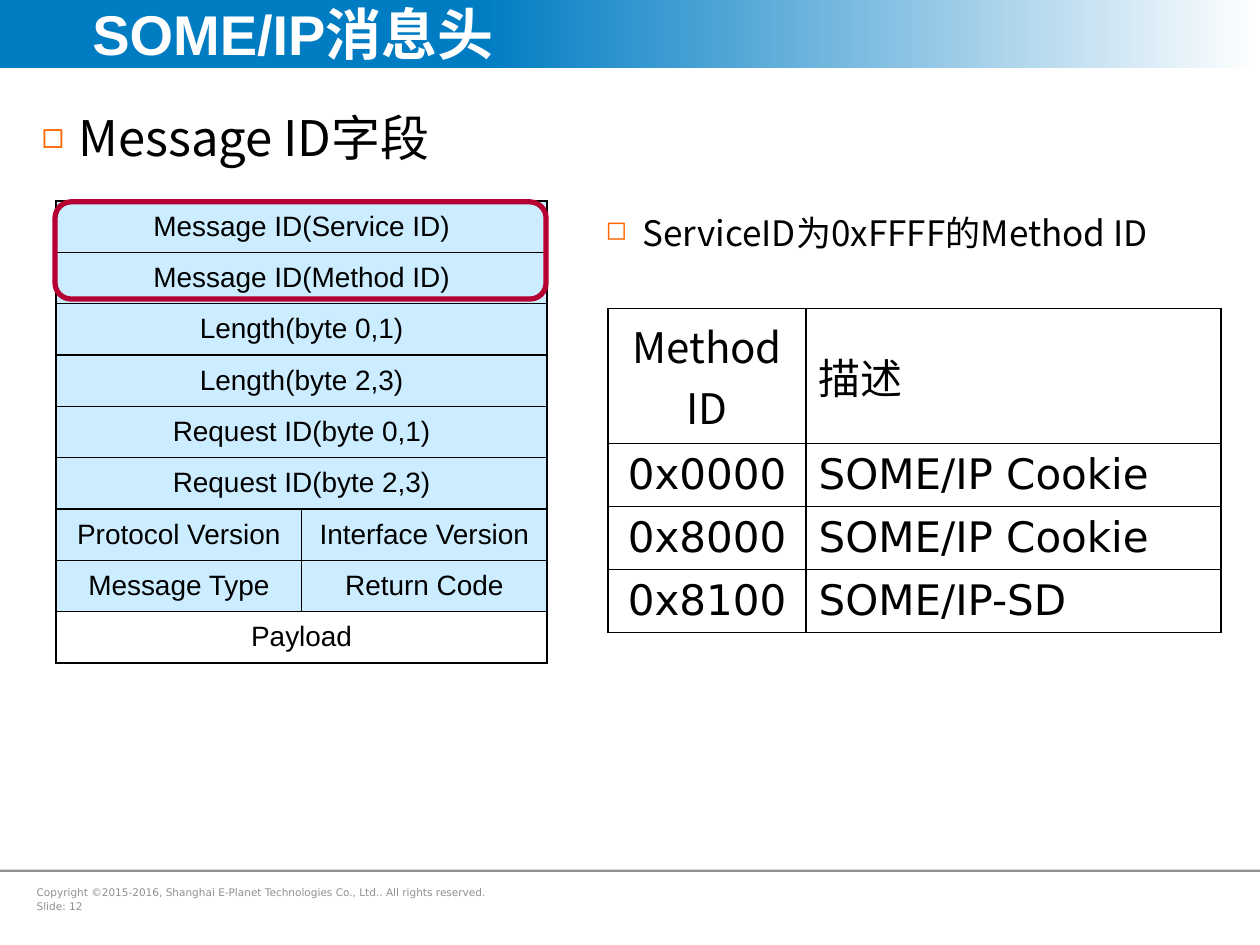
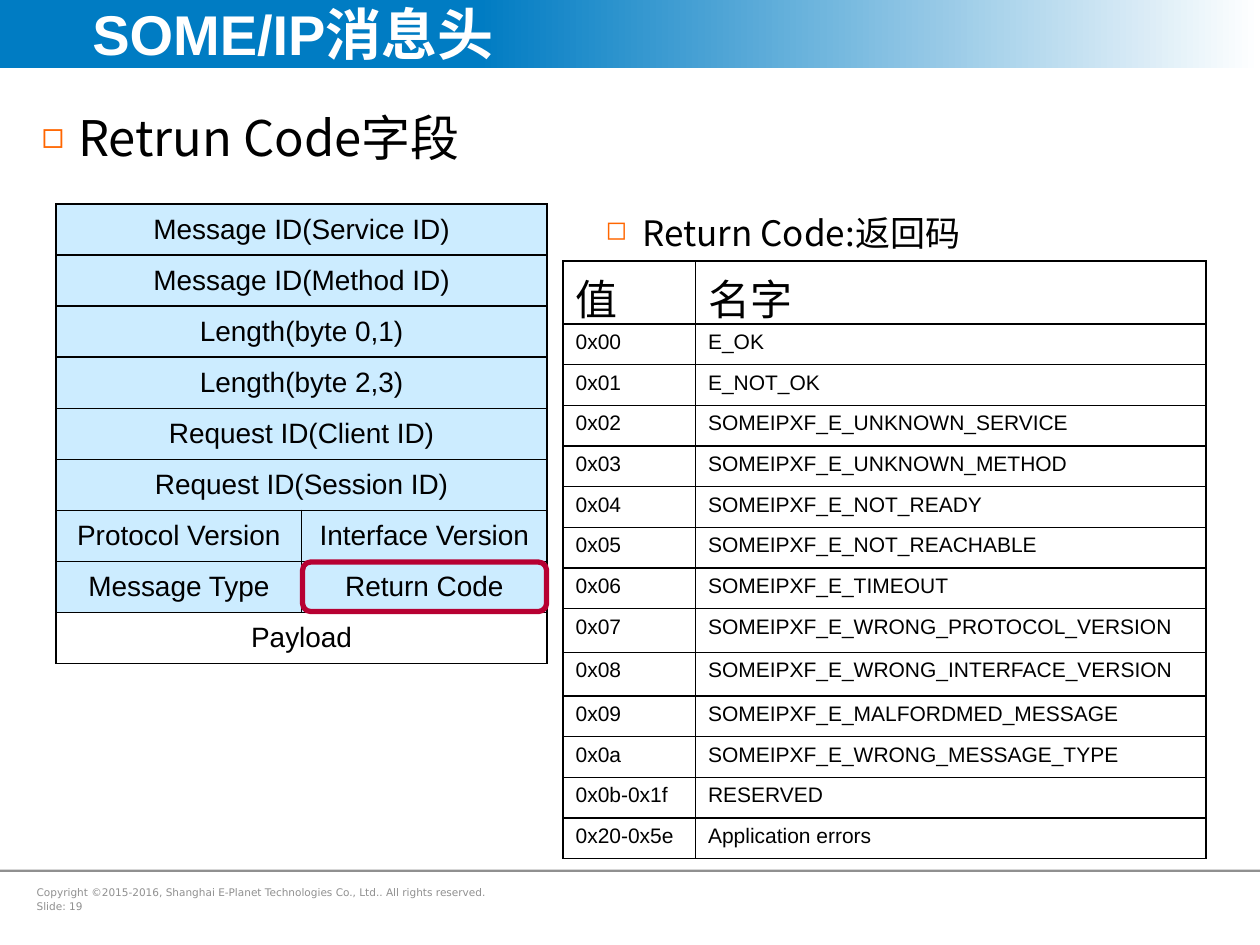
from copy import deepcopy
from lxml import etree
from pptx import Presentation
from pptx.dml.color import RGBColor
from pptx.enum.shapes import MSO_SHAPE
from pptx.enum.text import MSO_ANCHOR, MSO_AUTO_SIZE, PP_ALIGN
from pptx.oxml.ns import qn
from pptx.util import Cm, Pt

RECTANGLE, ROUNDED = MSO_SHAPE.RECTANGLE, MSO_SHAPE.ROUNDED_RECTANGLE
LEFT, CENTER = PP_ALIGN.LEFT, PP_ALIGN.CENTER
TOP, MIDDLE = MSO_ANCHOR.TOP, MSO_ANCHOR.MIDDLE
NO_AUTOFIT = MSO_AUTO_SIZE.NONE
COLORS = {"blue": "007CC3", "white": "FFFFFF", "gray": "909090", "black": "000000",
          "orange": "FF6600", "field": "CCECFF", "highlight": "B70032"}
ARIAL, DEJAVU, NOTO = "Arial", "DejaVu Sans", "Noto Sans CJK SC"
COPYRIGHT = "Copyright ©2015-2016, Shanghai E-Planet Technologies Co., Ltd.. All rights reserved."


def format_paragraph(paragraph, size, font_name, color="black", bold=False):
    for run in paragraph.runs:
        run.font.size = Pt(size)
        run.font.name = font_name
        run.font.bold = bold
        run.font.color.rgb = RGBColor.from_string(COLORS[color])
        etree.SubElement(run._r.get_or_add_rPr(), qn("a:ea"), typeface=NOTO)


def add_grid(slide, rows, left, top, widths, heights, header_style, body_style, centered, anchor):
    frame = slide.shapes.add_table(len(rows), len(widths), Cm(left), Cm(top),
                                   Cm(sum(widths)), Cm(sum(heights)))
    table = frame.table
    table.first_row = table.horz_banding = False
    for column, width in zip(table.columns, widths):
        column.width = Cm(width)
    for row_index, (texts, height) in enumerate(zip(rows, heights)):
        table.rows[row_index].height = Cm(height)
        size, font_name = body_style if row_index else header_style
        if len(texts) < len(widths):
            table.cell(row_index, 0).merge(table.cell(row_index, len(widths) - 1))
        for column_index in range(len(widths)):
            cell = table.cell(row_index, column_index)
            cell.fill.background()
            cell.vertical_anchor = anchor
            for position, side in enumerate(("lnL", "lnR", "lnT", "lnB")):
                line = etree.Element(qn(f"a:{side}"), w=str(Pt(1)))
                solid = etree.SubElement(line, qn("a:solidFill"))
                etree.SubElement(solid, qn("a:srgbClr"), val=COLORS["black"])
                cell._tc.get_or_add_tcPr().insert(position, line)
            if column_index < len(texts):
                paragraph = cell.text_frame.paragraphs[0]
                paragraph.text = texts[column_index]
                paragraph.alignment = CENTER if column_index in centered else LEFT
                format_paragraph(paragraph, size, font_name)
    return table


method_rows = [("Method ID", "描述"), ("0x0000", "SOME/IP Cookie"),
               ("0x8000", "SOME/IP Cookie"), ("0x8100", "SOME/IP-SD")]
return_rows = [
    ("值", "名字"),
    ("0x00", "E_OK"),
    ("0x01", "E_NOT_OK"),
    ("0x02", "SOMEIPXF_E_UNKNOWN_SERVICE"),
    ("0x03", "SOMEIPXF_E_UNKNOWN_METHOD"),
    ("0x04", "SOMEIPXF_E_NOT_READY"),
    ("0x05", "SOMEIPXF_E_NOT_REACHABLE"),
    ("0x06", "SOMEIPXF_E_TIMEOUT"),
    ("0x07", "SOMEIPXF_E_WRONG_PROTOCOL_VERSION"),
    ("0x08", "SOMEIPXF_E_WRONG_INTERFACE_VERSION"),
    ("0x09", "SOMEIPXF_E_MALFORDMED_MESSAGE"),
    ("0x0a", "SOMEIPXF_E_WRONG_MESSAGE_TYPE"),
    ("0x0b-0x1f", "RESERVED"),
    ("0x20-0x5e", "Application errors"),
]
pages = [
    {"number": 12, "heading": "Message ID字段", "detail": "ServiceID为0xFFFF的Method ID",
     "request": ("byte 0,1", "byte 2,3"), "header_top": 4.05, "header_height": 9.32,
     "highlight": (1.11, 4.07, 9.9, 1.96)},
    {"number": 19, "heading": "Retrun Code字段", "detail": "Return Code:返回码",
     "request": ("Client ID", "Session ID"), "header_top": 4.11, "header_height": 9.27,
     "highlight": (6.1, 11.33, 4.92, 1)},
]

presentation = Presentation()
presentation.slide_width = Cm(25.4)
presentation.slide_height = Cm(19.05)

for page in pages:
    slide = presentation.slides.add_slide(presentation.slide_layouts[1])
    shapes = slide.shapes

    band = shapes.add_shape(RECTANGLE, 0, 0, presentation.slide_width, Cm(1.37))
    band.shadow.inherit = False
    band.line.fill.background()
    band.fill.gradient()
    band.fill.gradient_angle = 0
    stop_list = band._element.spPr.find(qn("a:gradFill")).find(qn("a:gsLst"))
    stop_list.insert(0, deepcopy(stop_list[0]))
    for stop, position, color in zip(band.fill.gradient_stops, (0, 0.38, 1),
                                     ("blue", "blue", "white")):
        stop.position = position
        stop.color.rgb = RGBColor.from_string(COLORS[color])
    shapes._spTree.insert(2, band._element)

    rule = shapes.add_shape(RECTANGLE, 0, Cm(17.53), presentation.slide_width, Cm(0.05))
    rule.shadow.inherit = False
    rule.line.fill.background()
    rule.fill.solid()
    rule.fill.fore_color.rgb = RGBColor.from_string(COLORS["gray"])

    footer = shapes.add_textbox(Cm(0.74), Cm(17.73), Cm(9.75), Cm(0.81)).text_frame
    footer.word_wrap = True
    footer.margin_left = 0
    footer.text = f"{COPYRIGHT}\nSlide: {page['number']}"
    footer.paragraphs[1].space_before = Pt(1.2)
    for paragraph in footer.paragraphs:
        format_paragraph(paragraph, 6, DEJAVU, "gray")

    title = shapes.title
    title.left, title.top, title.width, title.height = Cm(1.55), 0, Cm(20.24), Cm(1.35)
    title.text_frame.text = "SOME/IP消息头"
    title.text_frame.auto_size = NO_AUTOFIT
    title.text_frame.vertical_anchor = MIDDLE
    title.text_frame.margin_left = Cm(0.31)
    title.text_frame.margin_right = 0
    title.text_frame.paragraphs[0].alignment = LEFT
    format_paragraph(title.text_frame.paragraphs[0], 32, ARIAL, "white", True)

    body = slide.placeholders[1]
    body.left, body.top, body.width, body.height = Cm(0.84), Cm(2.03), Cm(23.47), Cm(13)
    body.text_frame.margin_left = body.text_frame.margin_right = 0
    detail = shapes.add_textbox(Cm(11.96), Cm(4.14), Cm(12.34), Cm(1.12))
    for shape, text, size in ((body, page["heading"], 28), (detail, page["detail"], 20)):
        shape.text_frame.word_wrap = True
        shape.text_frame.auto_size = NO_AUTOFIT
        shape.text_frame.text = text
        paragraph = shape.text_frame.paragraphs[0]
        properties = paragraph._p.get_or_add_pPr()
        properties.set("marL", str(Cm(0.74)))
        properties.set("indent", str(-Cm(0.74)))
        bullet_color = etree.SubElement(properties, qn("a:buClr"))
        etree.SubElement(bullet_color, qn("a:srgbClr"), val=COLORS["orange"])
        etree.SubElement(properties, qn("a:buSzPct"), val="75000")
        etree.SubElement(properties, qn("a:buChar"), char="◻")
        paragraph.space_before = 0
        format_paragraph(paragraph, size, NOTO)

    first_request, second_request = page["request"]
    header_rows = [
        ("Message ID(Service ID)",), ("Message ID(Method ID)",),
        ("Length(byte 0,1)",), ("Length(byte 2,3)",),
        (f"Request ID({first_request})",), (f"Request ID({second_request})",),
        ("Protocol Version", "Interface Version"), ("Message Type", "Return Code"),
        ("Payload",),
    ]
    row_count = len(header_rows)
    header_table = add_grid(slide, header_rows, 1.13, page["header_top"], [4.95] * 2,
                            [page["header_height"] / row_count] * row_count,
                            (16, ARIAL), (16, ARIAL), (0, 1), MIDDLE)
    for row_index in range(row_count - 1):
        for cell in header_table.rows[row_index].cells:
            cell.fill.solid()
            cell.fill.fore_color.rgb = RGBColor.from_string(COLORS["field"])

    highlight = shapes.add_shape(ROUNDED, *map(Cm, page["highlight"]))
    highlight.shadow.inherit = False
    highlight.fill.background()
    highlight.line.color.rgb = RGBColor.from_string(COLORS["highlight"])
    highlight.line.width = Pt(3)

    if page["number"] == 12:
        add_grid(slide, method_rows, 12.26, 6.22, [3.99, 8.36], [2.72] + [1.24] * 3,
                 (24, NOTO), (24, DEJAVU), (0,), MIDDLE)
    else:
        heights = [1.25] + [0.82] * 7 + [0.88] * 2 + [0.82] * 4
        add_grid(slide, return_rows, 11.35, 5.26, [2.67, 10.29], heights,
                 (24, NOTO), (12, ARIAL), (), TOP)

presentation.save("out.pptx")
